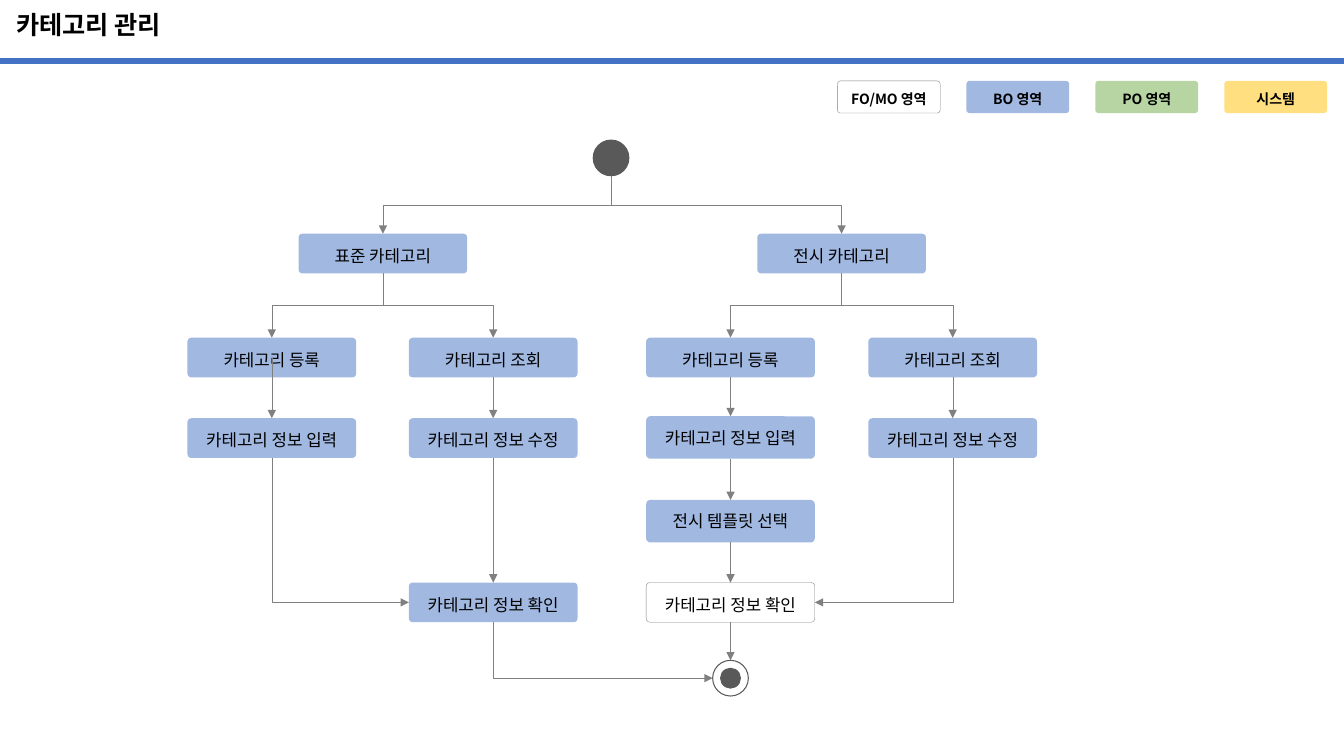
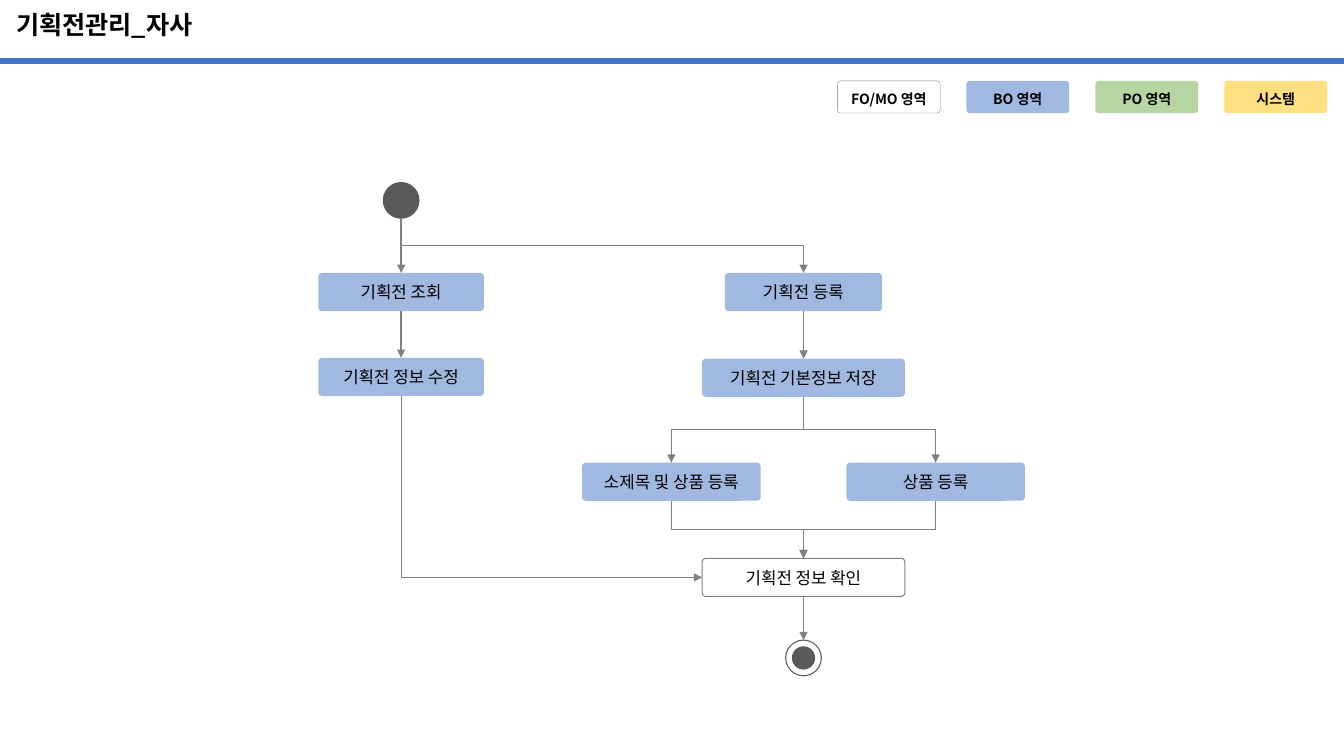
from lxml.etree import SubElement
from pptx import Presentation
from pptx.dml.color import RGBColor
from pptx.enum.shapes import MSO_CONNECTOR, MSO_SHAPE
from pptx.enum.text import MSO_ANCHOR, MSO_AUTO_SIZE, PP_ALIGN
from pptx.oxml.ns import qn
from pptx.util import Cm, Pt

# Shared colours and fonts
BLUE, GREEN, YELLOW = "4472C4", "70AD47", "FFC000"
WHITE, BLACK, GRAY, DARK = "FFFFFF", "000000", "808080", "595959"
KOREAN_FONT, LATIN_FONT = "Noto Sans CJK KR", "Arial"
CIRCLE = 0.9

# Boxes: name: (text, centre, top, width, height, line spacing, fill, outline)
# Arrows: (from, to, side entered, line width)
DIAGRAMS = [
    {
        "title": "카테고리 관리",
        "start": (15.4, 3.53),
        "end": (18.41, 16.64, 0.5),
        "boxes": {
            "standard": ("표준 카테고리", 9.65, 5.89, 4.25, 1, 1.2, BLUE, 0),
            "display": ("전시 카테고리", 21.21, 5.89, 4.25, 1, 1.2, BLUE, 0),
            "standard add": ("카테고리 등록", 6.85, 8.51, 4.25, 1, 1.2, BLUE, 0),
            "standard view": ("카테고리 조회", 12.43, 8.51, 4.25, 1, 1.2, BLUE, 0),
            "display add": ("카테고리 등록", 18.41, 8.51, 4.25, 1, 1.2, BLUE, 0),
            "display view": ("카테고리 조회", 24.01, 8.51, 4.25, 1, 1.2, BLUE, 0),
            "standard input": ("카테고리 정보 입력", 6.85, 10.54, 4.25, 1, 1.2, BLUE, 0),
            "standard edit": ("카테고리 정보 수정", 12.43, 10.54, 4.25, 1, 1.2, BLUE, 0),
            "display input": ("카테고리 정보 입력", 18.41, 10.49, 4.25, 1.07, 1, BLUE, 0),
            "display edit": ("카테고리 정보 수정", 24.01, 10.54, 4.25, 1, 1.2, BLUE, 0),
            "template": ("전시 템플릿 선택", 18.41, 12.6, 4.25, 1.07, 1, BLUE, 0),
            "standard check": ("카테고리 정보 확인", 12.43, 14.68, 4.25, 1, 1.2, BLUE, 0),
            "display check": ("카테고리 정보 확인", 18.41, 14.68, 4.25, 1, 1.2, WHITE, 0.25),
        },
        "arrows": [
            ("start", "standard", "top", 0.25),
            ("start", "display", "top", 0.25),
            ("standard", "standard add", "top", 0.25),
            ("standard", "standard view", "top", 0.25),
            ("display", "display add", "top", 0.25),
            ("display", "display view", "top", 0.25),
            ("standard add", "standard input", "top from middle", 0.25),
            ("standard view", "standard edit", "top", 0.25),
            ("display add", "display input", "top", 1),
            ("display view", "display edit", "top", 0.25),
            ("display input", "template", "top", 1),
            ("template", "display check", "top", 1),
            ("standard edit", "standard check", "top", 0.25),
            ("standard input", "standard check", "left", 0.25),
            ("display edit", "display check", "right", 0.25),
            ("display check", "end", "top", 0.25),
            ("standard check", "end", "left", 0.25),
        ],
    },
    {
        "title": "기획전관리_자사",
        "start": (10.11, 4.6),
        "end": (20.25, 16.13, 0.56),
        "boxes": {
            "view": ("기획전 조회", 10.11, 6.88, 4.17, 0.96, 1, BLUE, 0),
            "add": ("기획전 등록", 20.25, 6.88, 3.96, 0.96, 1, BLUE, 0),
            "edit": ("기획전 정보 수정", 10.11, 9.02, 4.17, 0.96, 1, BLUE, 0),
            "save": ("기획전 기본정보 저장", 20.25, 9.04, 5.11, 0.96, 1, BLUE, 0),
            "subtitle": ("소제목 및 상품 등록", 16.92, 11.66, 4.5, 0.96, 1, BLUE, 0),
            "product": ("상품 등록", 23.58, 11.66, 4.5, 0.96, 1, BLUE, 0),
            "check": ("기획전 정보 확인", 20.25, 14.07, 5.11, 0.96, 1, WHITE, 0.75),
        },
        "arrows": [
            ("start", "view", "top", 1),
            ("start", "add", "top", 0.5),
            ("view", "edit", "top", 1),
            ("add", "save", "top", 1),
            ("save", "subtitle", "top", 0.5),
            ("save", "product", "top", 0.5),
            ("subtitle", "check", "top", 0.5),
            ("product", "check", "top", 0.5),
            ("edit", "check", "left", 0.5),
            ("check", "end", "top", 1),
        ],
    },
]


def add_node(slide, preset, centre, top, width, height, fill, outline=0,
             outline_color=GRAY, text="", size=12, font=LATIN_FONT, bold=False, spacing=1.0):
    shape = slide.shapes.add_shape(
        preset, Cm(centre - width / 2), Cm(top), Cm(width), Cm(height))
    shape.shadow.inherit = False
    shape.fill.solid()
    shape.fill.fore_color.rgb = RGBColor.from_string(fill)
    if outline:
        shape.line.color.rgb = RGBColor.from_string(outline_color)
        shape.line.width = Pt(outline)
    else:
        # Boxes without an outline are half transparent
        shape.line.fill.background()
        color = shape.element.spPr.find(qn("a:solidFill"))[0]
        SubElement(color, qn("a:alpha")).set("val", "50000")
    if text:
        shape.adjustments[0] = 0.097
        frame = shape.text_frame
        frame.margin_left = frame.margin_right = frame.margin_top = frame.margin_bottom = 0
        frame.vertical_anchor = MSO_ANCHOR.MIDDLE
        frame.word_wrap = True
        frame.text = text
        paragraph = frame.paragraphs[0]
        paragraph.alignment = PP_ALIGN.CENTER
        paragraph.line_spacing = float(spacing)
        paragraph.space_after = Pt(2)
        run = paragraph.runs[0]
        run.font.size, run.font.bold, run.font.name = Pt(size), bold, font
        run.font.color.rgb = RGBColor.from_string(BLACK)
        SubElement(run.font._element, qn("a:ea")).set("typeface", KOREAN_FONT)
    return shape


def add_arrow(slide, source, target, side, weight):
    start_x = source.left + source.width // 2
    start_y = source.top + source.height
    end_x, end_y = target.left + target.width // 2, target.top
    if side == "top from middle":
        start_y -= source.height // 2
    elif side != "top":
        end_x = target.left if side == "left" else target.left + target.width
        end_y = target.top + target.height // 2
    across, down = end_x - start_x, end_y - start_y
    if abs(across) < Cm(0.05):
        arrow = slide.shapes.add_connector(
            MSO_CONNECTOR.STRAIGHT, start_x, start_y, start_x, end_y)
    else:
        # Elbows leave downwards: lay the shape on its side about its centre
        left = (start_x + end_x - down) // 2
        top = (start_y + end_y - abs(across)) // 2
        arrow = slide.shapes.add_connector(
            MSO_CONNECTOR.ELBOW, left, top, left + down, top + abs(across))
        transform = arrow.element.spPr.find(qn("a:xfrm"))
        transform.set("rot", "16200000" if across > 0 else "5400000")
        if across > 0:
            transform.set("flipH", "1")
        if side != "top":
            arrow.element.spPr.find(qn("a:prstGeom")).set("prst", "bentConnector2")
    arrow.line.color.rgb = RGBColor.from_string(GRAY)
    arrow.line.width = Pt(weight)
    SubElement(arrow.line._get_or_add_ln(), qn("a:tailEnd")).set("type", "triangle")
    SubElement(arrow.element.spPr, qn("a:effectLst"))


presentation = Presentation()
presentation.slide_width, presentation.slide_height = Cm(33.87), Cm(19.05)

# Layout: title place, no footers
layout = presentation.slide_layouts[5]
for placeholder in list(layout.placeholders):
    if placeholder.placeholder_format.idx:
        layout.shapes.element.remove(placeholder.element)
    else:
        placeholder.left, placeholder.top = Cm(0.15), Cm(0)
        placeholder.width, placeholder.height = Cm(33.55), Cm(1.35)
slides = [presentation.slides.add_slide(layout) for diagram in DIAGRAMS]

# Layout: title rule and legend, drawn once and moved to the layout
rule = slides[0].shapes.add_connector(
    MSO_CONNECTOR.STRAIGHT, 0, Cm(1.54), presentation.slide_width, Cm(1.54))
rule.line.color.rgb = RGBColor.from_string(BLUE)
rule.line.width = Pt(4.75)
SubElement(rule.element.spPr, qn("a:effectLst"))
shared = [rule]
legend = [("FO/MO 영역", WHITE, 0.25), ("BO 영역", BLUE, 0),
          ("PO 영역", GREEN, 0), ("시스템", YELLOW, 0)]
for index, (label, fill, outline) in enumerate(legend):
    shared.append(add_node(
        slides[0], MSO_SHAPE.ROUNDED_RECTANGLE, 22.4 + 3.25 * index, 2.04, 2.59, 0.81,
        fill, outline, text=label, size=10, font=KOREAN_FONT, bold=True, spacing=1.2))
for shape in shared:
    layout.shapes.element.append(shape.element)

for slide, diagram in zip(slides, DIAGRAMS):
    # Title
    frame = slide.shapes.title.text_frame
    frame.text = diagram["title"]
    frame.auto_size = MSO_AUTO_SIZE.NONE
    frame.vertical_anchor = MSO_ANCHOR.MIDDLE
    paragraph = frame.paragraphs[0]
    paragraph.alignment = PP_ALIGN.LEFT
    paragraph.line_spacing = 0.9
    run = paragraph.runs[0]
    run.font.size, run.font.bold, run.font.name = Pt(18), True, KOREAN_FONT
    run.font.color.rgb = RGBColor.from_string(BLACK)
    SubElement(run.font._element, qn("a:ea")).set("typeface", KOREAN_FONT)

    # Start dot and end ring
    centre, top = diagram["start"]
    nodes = {"start": add_node(slide, MSO_SHAPE.FLOWCHART_CONNECTOR, centre, top,
                               CIRCLE, CIRCLE, DARK, 0.75, DARK)}
    centre, top, dot = diagram["end"]
    nodes["end"] = add_node(slide, MSO_SHAPE.FLOWCHART_CONNECTOR, centre, top,
                            CIRCLE, CIRCLE, WHITE, 0.75, DARK)
    add_node(slide, MSO_SHAPE.FLOWCHART_CONNECTOR, centre, top + (CIRCLE - dot) / 2,
             dot, dot, DARK, 0.75, DARK)

    # Boxes
    for name, (text, centre, top, width, height, spacing, fill, outline) in diagram["boxes"].items():
        nodes[name] = add_node(slide, MSO_SHAPE.ROUNDED_RECTANGLE, centre, top, width, height,
                               fill, outline, text=text, spacing=spacing)

    # Arrows
    for source, target, side, weight in diagram["arrows"]:
        add_arrow(slide, nodes[source], nodes[target], side, weight)

presentation.save("out.pptx")
